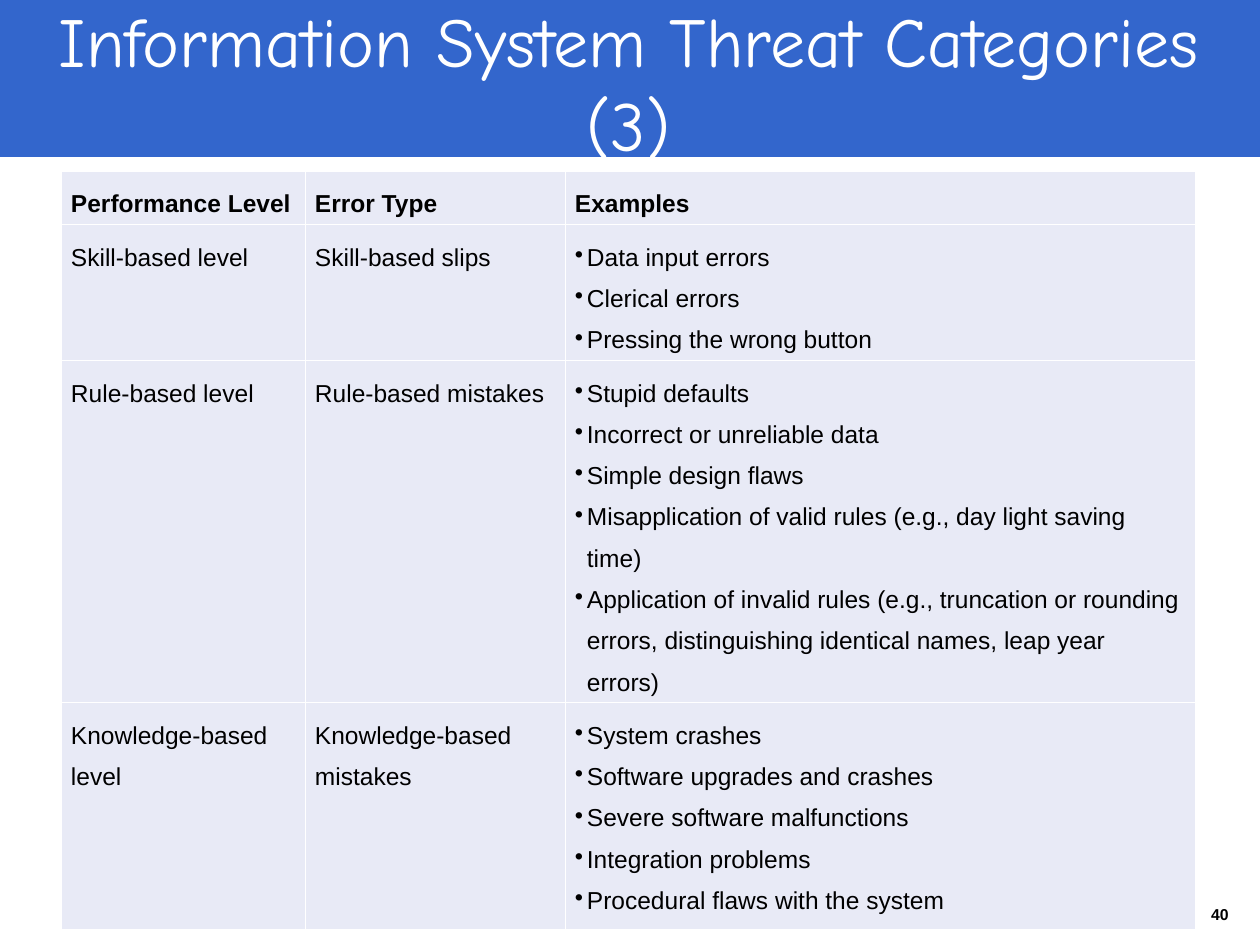
from dataclasses import dataclass

from lxml import etree
from pptx import Presentation
from pptx import util as u
from pptx.dml.color import RGBColor
from pptx.enum import shapes, text
from pptx.oxml.ns import qn


@dataclass(frozen=True)
class Theme:
    blue: str = "3366CC"
    white: str = "FFFFFF"
    black: str = "000000"
    gray: str = "B2B2B2"
    cell: str = "E8EAF6"
    title_font: str = "Comic Neue"
    body_font: str = "Arial"
    title_size: int = 40
    body_size: int = 14
    number_size: int = 9
    rule_width: float = 0.45


PX_PER_INCH = 126
INDENT = 12


def px(n):
    return u.Emu(round(n * u.Inches(1) / PX_PER_INCH))


def rgb(color):
    return RGBColor.from_string(color)


def apply(obj, values):
    for name, value in values.items():
        setattr(obj, name, value)


def add_bullet(p):
    pPr = p._p.get_or_add_pPr()
    pPr.set("marL", str(px(INDENT)))
    pPr.set("indent", str(-px(INDENT)))
    etree.SubElement(pPr, qn("a:buChar"), char="•")


class SlideBuilder:
    def __init__(self, s, theme):
        self.s, self.theme = s, theme

    def place(self, obj, x, y, w, h):
        apply(obj, dict(left=px(x), top=px(y), width=px(w), height=px(h)))

    def add_text(self, p, words, size, font, color, bold=False, **layout):
        apply(p, layout)
        r = p.add_run()
        r.text = words
        apply(r.font, dict(size=u.Pt(size), name=font, bold=bold))
        r.font.color.rgb = rgb(color)

    def background(self, color):
        fill = self.s.background.fill
        fill.solid()
        fill.fore_color.rgb = rgb(color)

    def rect(self, x, y, w, h, color):
        sp = self.s.shapes.add_shape(
            shapes.MSO_SHAPE.RECTANGLE, px(x), px(y), px(w), px(h))
        sp.shadow.inherit = False
        sp.fill.solid()
        sp.fill.fore_color.rgb = rgb(color)
        sp.line.fill.background()

    def title(self, words, *box):
        t = self.theme
        sp = self.s.shapes.title
        self.place(sp, *box)
        # Bring the title in front of the band
        sp.element.getparent().append(sp.element)
        tf = sp.text_frame
        apply(tf, dict(word_wrap=True, auto_size=text.MSO_AUTO_SIZE.NONE,
                       vertical_anchor=text.MSO_ANCHOR.MIDDLE))
        self.add_text(tf.paragraphs[0], words, t.title_size, t.title_font,
                      t.white, alignment=text.PP_ALIGN.CENTER)

    def page_number(self, words, *box):
        t = self.theme
        tf = self.s.shapes.add_textbox(*map(px, box)).text_frame
        apply(tf, dict(word_wrap=True, vertical_anchor=text.MSO_ANCHOR.BOTTOM))
        self.add_text(tf.paragraphs[0], words, t.number_size, t.body_font,
                      t.black, bold=True, alignment=text.PP_ALIGN.RIGHT)

    def borders(self, cell):
        tcPr = cell._tc.get_or_add_tcPr()
        for i, side in enumerate(("lnL", "lnR", "lnT", "lnB")):
            ln = etree.Element(qn(f"a:{side}"),
                               w=str(u.Pt(self.theme.rule_width)))
            fill = etree.SubElement(ln, qn("a:solidFill"))
            etree.SubElement(fill, qn("a:srgbClr"), val=self.theme.white)
            tcPr.insert(i, ln)

    def cell(self, cell, lines, header, bulleted):
        t = self.theme
        apply(cell, dict(margin_left=px(10), margin_right=px(10),
                         margin_top=px(6), margin_bottom=px(6)))
        cell.fill.solid()
        cell.fill.fore_color.rgb = rgb(t.cell)
        self.borders(cell)
        align = text.PP_ALIGN.JUSTIFY if header else text.PP_ALIGN.LEFT
        tf = cell.text_frame
        for i, line in enumerate(lines):
            p = tf.add_paragraph() if i else tf.paragraphs[0]
            if bulleted:
                add_bullet(p)
            self.add_text(p, line, t.body_size, t.body_font, t.black,
                          bold=header, alignment=align, line_spacing=1.5)

    def table(self, x, y, widths, heights, rows):
        tbl = self.s.shapes.add_table(
            len(rows), len(widths), px(x), px(y),
            px(sum(widths)), px(sum(heights))).table
        for col, w in zip(tbl.columns, widths):
            col.width = px(w)
        for row, h in zip(tbl.rows, heights):
            row.height = px(h)
        for r, row in enumerate(rows):
            for c, value in enumerate(row):
                bulleted = isinstance(value, list)
                self.cell(tbl.cell(r, c), value if bulleted else [value],
                          header=r == 0, bulleted=bulleted)


THREATS = [
    ("Performance Level", "Error Type", "Examples"),
    ("Skill-based level", "Skill-based slips", [
        "Data input errors",
        "Clerical errors",
        "Pressing the wrong button"]),
    ("Rule-based level", "Rule-based mistakes", [
        "Stupid defaults",
        "Incorrect or unreliable data",
        "Simple design flaws",
        "Misapplication of valid rules (e.g., day light saving time)",
        "Application of invalid rules (e.g., truncation or rounding errors, "
        "distinguishing identical names, leap year errors)"]),
    ("Knowledge-based level", "Knowledge-based mistakes", [
        "System crashes",
        "Software upgrades and crashes",
        "Severe software malfunctions",
        "Integration problems",
        "Procedural flaws with the system"]),
]


def main():
    theme = Theme()
    prs = Presentation()
    width, height, band = 1260, 945, 157
    apply(prs, dict(slide_width=px(width), slide_height=px(height)))
    b = SlideBuilder(prs.slides.add_slide(prs.slide_layouts[5]), theme)

    # Backdrop
    b.background(theme.gray)
    b.rect(0, 0, width, band, theme.blue)
    b.rect(0, band, width, height - band, theme.white)

    # Page number and title
    b.page_number("40", 1100, 891, 141, 39)
    b.title("Information System Threat Categories (3)", 43, 8, 1171, 147)

    # Threat table
    b.table(61, 171, [244, 260, 630], [45, 136, 334, 227], THREATS)

    prs.save("out.pptx")


if __name__ == "__main__":
    main()
